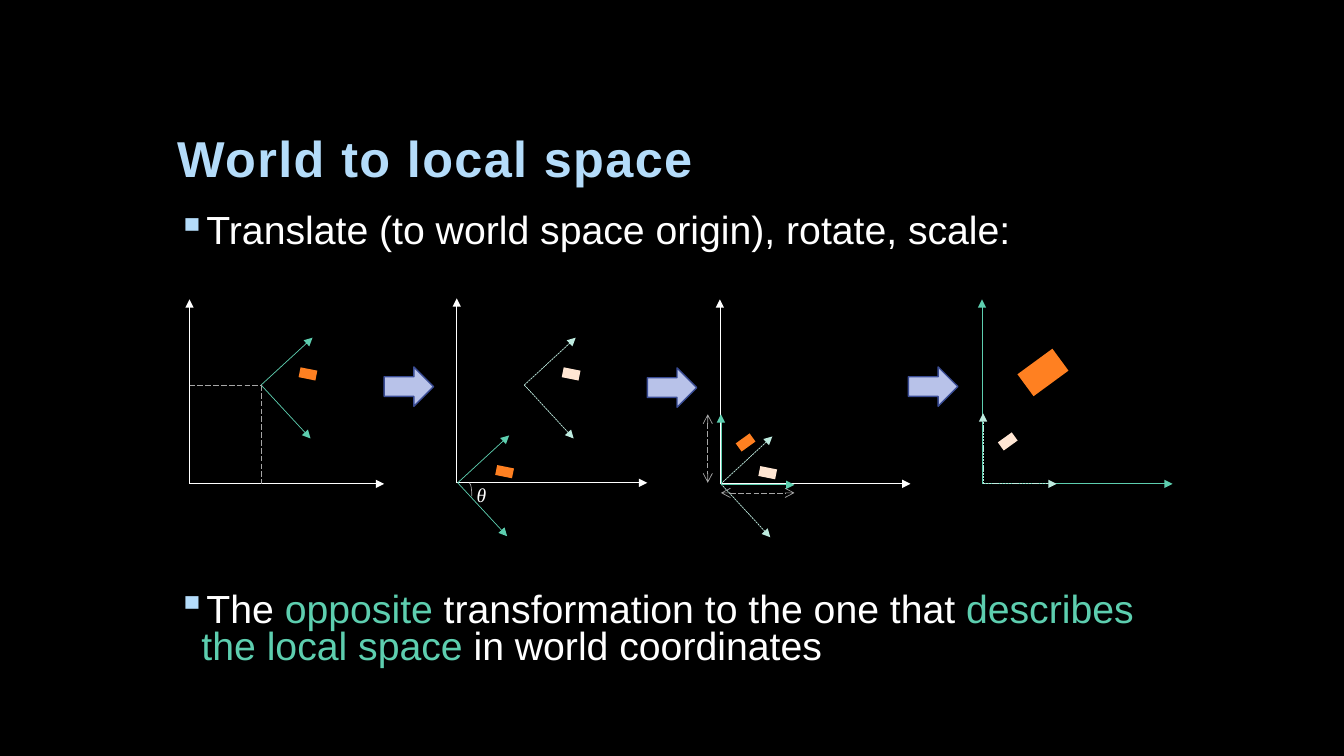
"""Build the slide that shows the steps from world space to local space."""
from dataclasses import dataclass, replace
from typing import NamedTuple, Optional

from lxml import etree
from pptx import Presentation
from pptx.dml.color import RGBColor
from pptx.enum.dml import MSO_LINE
from pptx.enum.shapes import MSO_CONNECTOR, MSO_SHAPE
from pptx.enum.text import MSO_ANCHOR
from pptx.oxml.ns import qn
from pptx.util import Pt

EMU_PER_PX = 9144
STRAIGHT = MSO_CONNECTOR.STRAIGHT
RECTANGLE, RIGHT_ARROW, ARC = MSO_SHAPE.RECTANGLE, MSO_SHAPE.RIGHT_ARROW, MSO_SHAPE.ARC
DOTTED, DASHED = MSO_LINE.SQUARE_DOT, MSO_LINE.LONG_DASH
TOP, BOTTOM = MSO_ANCHOR.TOP, MSO_ANCHOR.BOTTOM
COLORS = {
    "background": "000000", "text": "FFFFFF", "title": "B4DCFA",
    "green": "5DCEAF", "pale green": "BEEBDF", "orange": "FF8021",
    "pale orange": "FFE6D3", "gray": "A6A6A6",
    "arrow fill": "B8C2E9", "arrow line": "3A4C94",
}


class Point(NamedTuple):
    x: int
    y: int


class Area(NamedTuple):
    left: int
    top: int
    width: int
    height: int


class Span(NamedTuple):
    text: str
    color: str = "text"


@dataclass(frozen=True)
class Pose:
    """Axis tips and object box of a frame, relative to its origin."""
    x_tip: Point
    y_tip: Point
    box: Optional[Area] = None
    rotation: float = 0


@dataclass(frozen=True)
class Look:
    axes: str
    box: str = "orange"
    dash: Optional[MSO_LINE] = None


@dataclass(frozen=True)
class Frame:
    origin: Point
    pose: Pose
    look: Look


@dataclass(frozen=True)
class Guide:
    start: Point
    end: Point
    heads: tuple[str, ...] = ()


WORLD = Pose(Point(189, 0), Point(0, -183))
WIDE_WORLD = replace(WORLD, x_tip=Point(193, 0))
SCALED = replace(WORLD, box=Area(39, -124, 43, 27), rotation=323.8)
TILTED = Pose(Point(49, 53), Point(51, -47), Area(38, -16, 17, 10), 11.3)
UPRIGHT = Pose(Point(73, 0), Point(0, -70), Area(16, -47, 17, 10), 324.2)
WHITE = Look("text")
CURRENT = Look("green")
PREVIOUS = Look("pale green", "pale orange", DOTTED)

FRAMES = [
    Frame(Point(259, 382), TILTED, CURRENT),
    Frame(Point(188, 480), WIDE_WORLD, WHITE),
    Frame(Point(520, 382), TILTED, PREVIOUS),
    Frame(Point(453, 479), WORLD, WHITE),
    Frame(Point(454, 479), TILTED, CURRENT),
    Frame(Point(714, 480), WORLD, WHITE),
    Frame(Point(715, 480), TILTED, PREVIOUS),
    Frame(Point(715, 481), UPRIGHT, CURRENT),
    Frame(Point(974, 480), SCALED, CURRENT),
    Frame(Point(975, 480), UPRIGHT, PREVIOUS),
]
BOTH_ENDS = ("headEnd", "tailEnd")
GUIDES = [
    Guide(Point(188, 382), Point(259, 382)),
    Guide(Point(259, 382), Point(259, 480)),
    Guide(Point(702, 411), Point(702, 479), BOTH_ENDS),
    Guide(Point(715, 489), Point(788, 489), BOTH_ENDS),
]
STEP_ARROWS = [Point(381, 364), Point(642, 365), Point(901, 364)]
BULLETS = [
    [Span("Translate (to world space origin), rotate, scale:")],
    [Span("The "), Span("opposite", "green"), Span(" transformation to the one that "),
     Span("describes the local space", "green"), Span(" in world coordinates")],
]


def px(value: float) -> int:
    return round(value * EMU_PER_PX)


def rgb(name: str) -> RGBColor:
    return RGBColor.from_string(COLORS[name])


def shift(origin: Point, offset: Point) -> Point:
    return Point(origin.x + offset.x, origin.y + offset.y)


def add_line(slide, start: Point, end: Point, color: str, *, dash=None,
             heads: tuple[str, ...] = ("tailEnd",), head_type: str = "triangle") -> None:
    connector = slide.shapes.add_connector(STRAIGHT, *map(px, (*start, *end)))
    connector.line.color.rgb = rgb(color)
    connector.line.width = Pt(0.5)
    if dash is not None:
        connector.line.dash_style = dash
    properties = connector.element.spPr
    outline = properties.find(qn("a:ln"))
    for head in heads:
        etree.SubElement(outline, qn(f"a:{head}"), type=head_type)
    etree.SubElement(properties, qn("a:effectLst"))


def add_shape(slide, kind, area: Area, *, fill: Optional[str] = None,
              line: Optional[str] = None, width: float = 1, rotation: float = 0) -> None:
    shape = slide.shapes.add_shape(kind, *map(px, area))
    shape.shadow.inherit = False
    shape.rotation = rotation
    if fill:
        shape.fill.solid()
        shape.fill.fore_color.rgb = rgb(fill)
    else:
        shape.fill.background()
    if line:
        shape.line.color.rgb = rgb(line)
        shape.line.width = Pt(width)
    else:
        shape.line.fill.background()


def add_frame(slide, frame: Frame) -> None:
    origin, pose, look = frame.origin, frame.pose, frame.look
    for tip in (pose.y_tip, pose.x_tip):
        add_line(slide, origin, shift(origin, tip), look.axes, dash=look.dash)
    if pose.box:
        left, top, width, height = pose.box
        area = Area(*shift(origin, Point(left, top)), width, height)
        add_shape(slide, RECTANGLE, area, fill=look.box, rotation=pose.rotation)


def add_bullet(paragraph) -> None:
    properties = paragraph._p.get_or_add_pPr()
    properties.set("marL", str(px(24)))
    properties.set("indent", str(px(-24)))
    bullet_color = etree.SubElement(properties, qn("a:buClr"))
    etree.SubElement(bullet_color, qn("a:srgbClr"), val=COLORS["title"])
    etree.SubElement(properties, qn("a:buChar"), char="▪")


def add_text(slide, area: Area, paragraphs: list[list[Span]], *, size: int,
             font: str = "Arial", bold: bool = False, italic: bool = False,
             anchor=TOP, wrap: bool = True, line_spacing: float = 1, gap: float = 0,
             tracking: int = 0, bullets: bool = False) -> None:
    text_frame = slide.shapes.add_textbox(*map(px, area)).text_frame
    text_frame.word_wrap = wrap
    text_frame.vertical_anchor = anchor
    for index, spans in enumerate(paragraphs):
        paragraph = text_frame.add_paragraph() if index else text_frame.paragraphs[0]
        if bullets:
            add_bullet(paragraph)
        paragraph.line_spacing = line_spacing
        paragraph.space_before = Pt(gap if index else 0)
        for span in spans:
            run = paragraph.add_run()
            run.text = span.text
            run.font.name, run.font.size = font, Pt(size)
            run.font.bold, run.font.italic = bold, italic
            run.font.color.rgb = rgb(span.color)
            if tracking:
                run._r.get_or_add_rPr().set("spc", str(tracking))


def main() -> None:
    presentation = Presentation()
    presentation.slide_width, presentation.slide_height = px(1333), px(750)
    slide = presentation.slides.add_slide(presentation.slide_layouts[6])
    slide.background.fill.solid()
    slide.background.fill.fore_color.rgb = rgb("background")
    add_text(slide, Area(166, 42, 1000, 150), [[Span("World to local space", "title")]],
             size=36, bold=True, anchor=BOTTOM, line_spacing=0.9, tracking=100)
    add_text(slide, Area(166, 208, 999, 490), BULLETS, size=28, line_spacing=0.8,
             gap=243.5, bullets=True)
    for frame in FRAMES:
        add_frame(slide, frame)
    for guide in GUIDES:
        add_line(slide, guide.start, guide.end, "gray", dash=DASHED,
                 heads=guide.heads, head_type="arrow")
    for corner in STEP_ARROWS:
        add_shape(slide, RIGHT_ARROW, Area(*corner, 49, 39), fill="arrow fill", line="arrow line")
    add_text(slide, Area(463, 474, 29, 34), [[Span("θ")]], size=14,
             font="Times New Roman", italic=True, wrap=False)
    add_shape(slide, ARC, Area(463, 479, 5, 27), line="gray", width=0.5)
    presentation.save("out.pptx")


if __name__ == "__main__":
    main()
